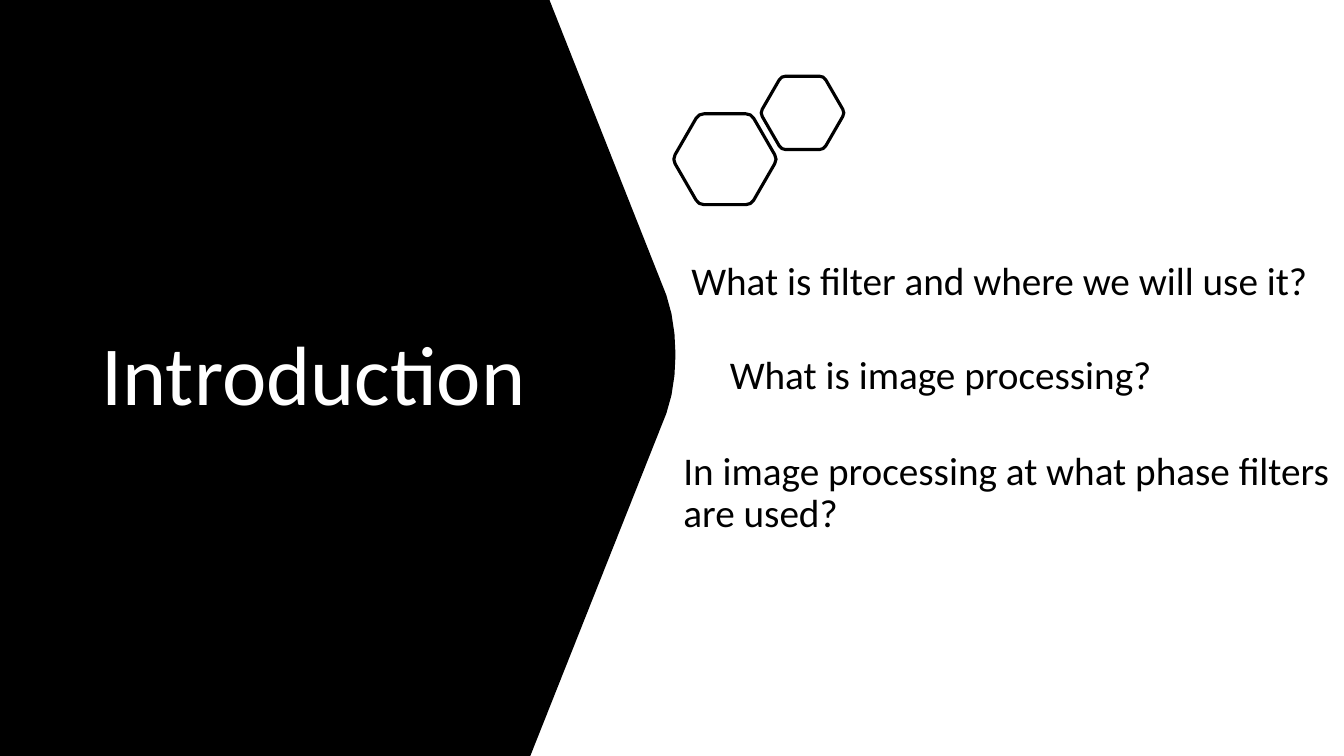
"""Build the Introduction slide with a black side panel, two hexagons and three questions."""
import dataclasses
import math

import pptx
import pptx.dml.color
import pptx.enum.shapes
import pptx.enum.text
import pptx.util

EMU_PER_PX = 9144
SLIDE_WIDTH, SLIDE_HEIGHT = 1333, 750
FONT = "Calibri"
COLOURS = {"black": "000000", "white": "FFFFFF"}
LEFT = pptx.enum.text.PP_ALIGN.LEFT
CENTER = pptx.enum.text.PP_ALIGN.CENTER
Point = tuple[float, float]


@dataclasses.dataclass(frozen=True)
class Hexagon:
    center_x: int
    center_y: int
    radius: int


@dataclasses.dataclass(frozen=True)
class TextBlock:
    text: str
    left: int
    top: int
    width: int
    height: int
    paragraph_format: dict
    size: int = 28
    colour: str = "black"


TITLE_FORMAT = {"alignment": CENTER, "line_spacing": 0.9}
CENTERED = {"alignment": CENTER}
SPACED = {"alignment": LEFT, "line_spacing": 0.9, "space_before": pptx.util.Pt(10)}

HEXAGONS = [Hexagon(719, 158, 52), Hexagon(796, 112, 42)]
TITLE = TextBlock("Introduction", 84, 141, 454, 468, TITLE_FORMAT, 60, "white")
QUESTIONS = [
    TextBlock("What is filter and where we will use it?", 668, 238, 646, 79, CENTERED),
    TextBlock("What is image processing?", 714, 333, 571, 82, SPACED),
    TextBlock("In image processing at what phase filters are used?", 668, 449, 664, 82, SPACED),
]


def px(length: float) -> int:
    return round(length * EMU_PER_PX)


def colour_of(name: str) -> pptx.dml.color.RGBColor:
    return pptx.dml.color.RGBColor.from_string(COLOURS[name])


def set_attributes(target: object, values: dict) -> None:
    for name, value in values.items():
        setattr(target, name, value)


def curve(steps: int, *controls: Point) -> list[Point]:
    degree = len(controls) - 1
    points = []
    for step in range(steps + 1):
        t = step / steps
        weights = [math.comb(degree, i) * t**i * (1 - t) ** (degree - i)
                   for i in range(degree + 1)]
        points.append((sum(w * x for w, (x, _) in zip(weights, controls)),
                       sum(w * y for w, (_, y) in zip(weights, controls))))
    return points


def hexagon_outline(hexagon: Hexagon) -> list[Point]:
    corners = [(hexagon.center_x + hexagon.radius * math.cos(math.radians(angle)),
                hexagon.center_y + hexagon.radius * math.sin(math.radians(angle)))
               for angle in range(0, 360, 60)]
    points = []
    for index, corner in enumerate(corners):
        start, end = (
            (corner[0] + (other[0] - corner[0]) / 10, corner[1] + (other[1] - corner[1]) / 10)
            for other in (corners[index - 1], corners[(index + 1) % 6]))
        points += curve(2, start, corner, end)
    return points


def add_outline(slide: pptx.slide.Slide, points: list[Point]) -> pptx.shapes.autoshape.Shape:
    vertices = [(px(x), px(y)) for x, y in points]
    builder = slide.shapes.build_freeform(*vertices[0], scale=1.0)
    builder.add_line_segments(vertices[1:], close=True)
    shape = builder.convert_to_shape()
    shape.shadow.inherit = False
    return shape


def add_panel(slide: pptx.slide.Slide) -> None:
    tip = curve(6, (661, 293), (673, 327), (673, 377), (661, 410))
    shape = add_outline(slide, [(0, 0), (545, 0), *tip, (526, 750), (0, 750)])
    shape.fill.solid()
    shape.fill.fore_color.rgb = colour_of("black")
    shape.line.fill.background()


def add_hexagon(slide: pptx.slide.Slide, hexagon: Hexagon) -> None:
    shape = add_outline(slide, hexagon_outline(hexagon))
    shape.fill.background()
    shape.line.color.rgb = colour_of("black")
    shape.line.width = pptx.util.Pt(2.25)


def write_text(shape: pptx.shapes.autoshape.Shape, block: TextBlock) -> None:
    set_attributes(shape.text_frame, {
        "word_wrap": True, "vertical_anchor": pptx.enum.text.MSO_ANCHOR.MIDDLE})
    paragraph = shape.text_frame.paragraphs[0]
    set_attributes(paragraph, block.paragraph_format)
    run = paragraph.add_run()
    run.text = block.text
    set_attributes(run.font, {"name": FONT, "size": pptx.util.Pt(block.size)})
    run.font.color.rgb = colour_of(block.colour)


def bounds(block: TextBlock) -> list[int]:
    return [px(length) for length in (block.left, block.top, block.width, block.height)]


def add_title(slide: pptx.slide.Slide, block: TextBlock) -> None:
    write_text(slide.shapes.add_textbox(*bounds(block)), block)


def add_question(slide: pptx.slide.Slide, block: TextBlock) -> None:
    shape = slide.shapes.add_shape(pptx.enum.shapes.MSO_SHAPE.RECTANGLE, *bounds(block))
    shape.shadow.inherit = False
    shape.fill.solid()
    shape.fill.fore_color.rgb = colour_of("white")
    shape.line.color.rgb = colour_of("white")
    shape.line.width = pptx.util.Pt(1)
    write_text(shape, block)


def main() -> None:
    presentation = pptx.Presentation()
    set_attributes(presentation, {
        "slide_width": px(SLIDE_WIDTH), "slide_height": px(SLIDE_HEIGHT)})
    slide = presentation.slides.add_slide(presentation.slide_layouts[6])
    add_panel(slide)
    add_title(slide, TITLE)
    for hexagon in HEXAGONS:
        add_hexagon(slide, hexagon)
    for question in QUESTIONS:
        add_question(slide, question)
    presentation.save("out.pptx")


if __name__ == "__main__":
    main()
